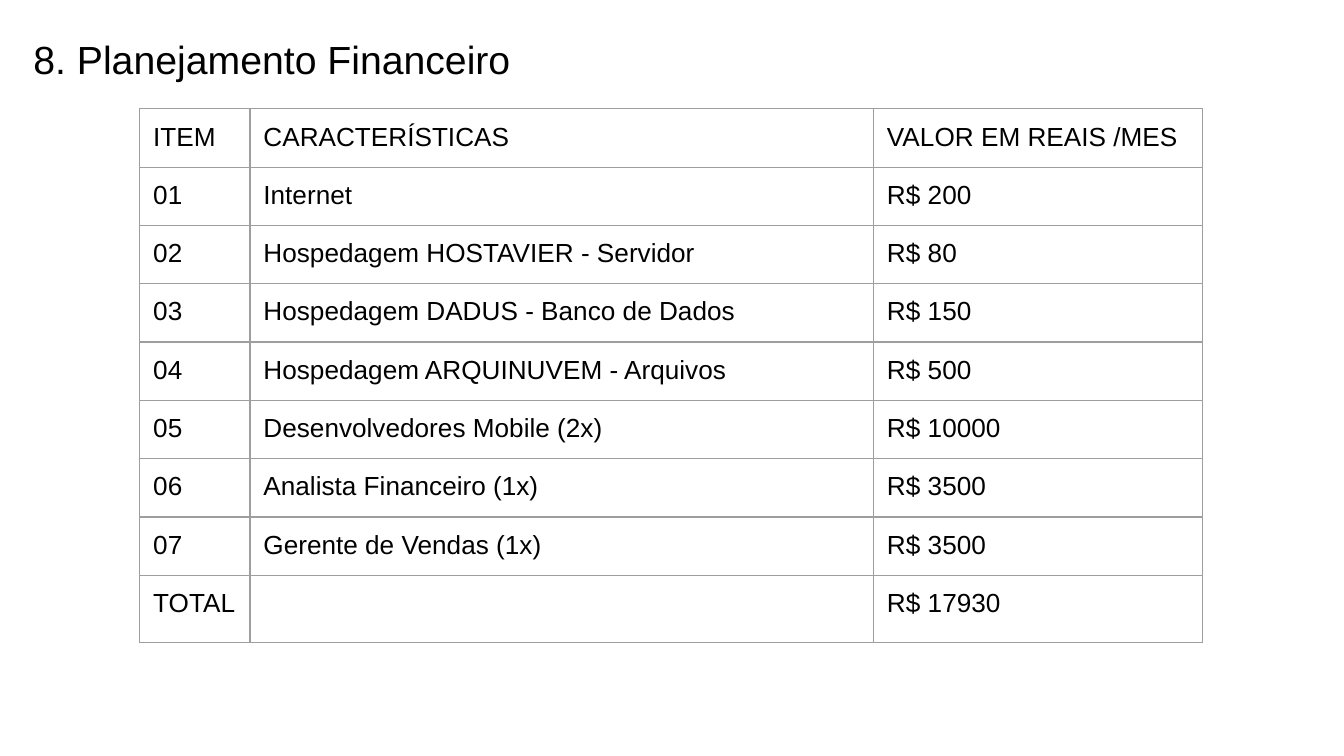
from typing import NamedTuple

from lxml.etree import SubElement
from pptx import Presentation
from pptx.dml.color import RGBColor
from pptx.enum.text import MSO_AUTO_SIZE
from pptx.oxml.ns import qn
from pptx.util import Inches, Pt

FONT = "Arial"
TEXT_COLOR = "000000"
BORDER_COLOR = "9E9E9E"
BORDER_WIDTH = Pt(0.75)
INSET = Inches(0.1)
COLUMN_WIDTHS = (0.82, 4.64, 2.45)
ROW_HEIGHT = 0.42


class BudgetRow(NamedTuple):
    item: str
    description: str
    value: str


BUDGET = (
    BudgetRow("ITEM", "CARACTERÍSTICAS", "VALOR EM REAIS /MES"),
    BudgetRow("01", "Internet", "R$ 200"),
    BudgetRow("02", "Hospedagem HOSTAVIER - Servidor", "R$ 80"),
    BudgetRow("03", "Hospedagem DADUS - Banco de Dados", "R$ 150"),
    BudgetRow("04", "Hospedagem ARQUINUVEM - Arquivos", "R$ 500"),
    BudgetRow("05", "Desenvolvedores Mobile (2x)", "R$ 10000"),
    BudgetRow("06", "Analista Financeiro (1x)", "R$ 3500"),
    BudgetRow("07", "Gerente de Vendas (1x)", "R$ 3500"),
    BudgetRow("TOTAL", "", "R$ 17930"),
)


def color(value: str) -> RGBColor:
    return RGBColor.from_string(value)


def write(frame, text: str, *, size: float, fill: str = TEXT_COLOR) -> None:
    span = frame.paragraphs[0].add_run()
    span.text = text
    span.font.name = FONT
    span.font.size = Pt(size)
    span.font.color.rgb = color(fill)


def set_insets(holder) -> None:
    holder.margin_left = holder.margin_right = INSET
    holder.margin_top = holder.margin_bottom = INSET


def add_borders(cell) -> None:
    properties = cell._tc.get_or_add_tcPr()
    for side in ("a:lnL", "a:lnR", "a:lnT", "a:lnB"):
        line = SubElement(properties, qn(side), w=str(BORDER_WIDTH))
        solid = SubElement(line, qn("a:solidFill"))
        SubElement(solid, qn("a:srgbClr"), val=BORDER_COLOR)


def add_title(page, text: str) -> None:
    box = page.shapes.add_textbox(Inches(0.15), Inches(0.16), Inches(4.85), Inches(0.56))
    frame = box.text_frame
    frame.word_wrap = True
    frame.auto_size = MSO_AUTO_SIZE.SHAPE_TO_FIT_TEXT
    set_insets(frame)
    write(frame, text, size=21)


def add_budget_table(page, rows: tuple[BudgetRow, ...]) -> None:
    table = page.shapes.add_table(
        len(rows), len(COLUMN_WIDTHS), Inches(1.04), Inches(0.81),
        Inches(sum(COLUMN_WIDTHS)), Inches(ROW_HEIGHT * len(rows)),
    ).table
    table.first_row = table.horz_banding = False
    for column, width in zip(table.columns, COLUMN_WIDTHS):
        column.width = Inches(width)
    for table_row, entry in zip(table.rows, rows):
        table_row.height = Inches(ROW_HEIGHT)
        for cell, text in zip(table_row.cells, entry):
            set_insets(cell)
            add_borders(cell)
            cell.fill.background()
            if text:
                write(cell.text_frame, text, size=14)


def main() -> None:
    # Widescreen page, 16:9
    deck = Presentation()
    deck.slide_width = Inches(10)
    deck.slide_height = Inches(10 * 9 / 16)
    page = deck.slides.add_slide(deck.slide_layouts[6])

    # Heading
    add_title(page, "8. Planejamento Financeiro")

    # Monthly costs
    add_budget_table(page, BUDGET)

    deck.save("out.pptx")


if __name__ == "__main__":
    main()
